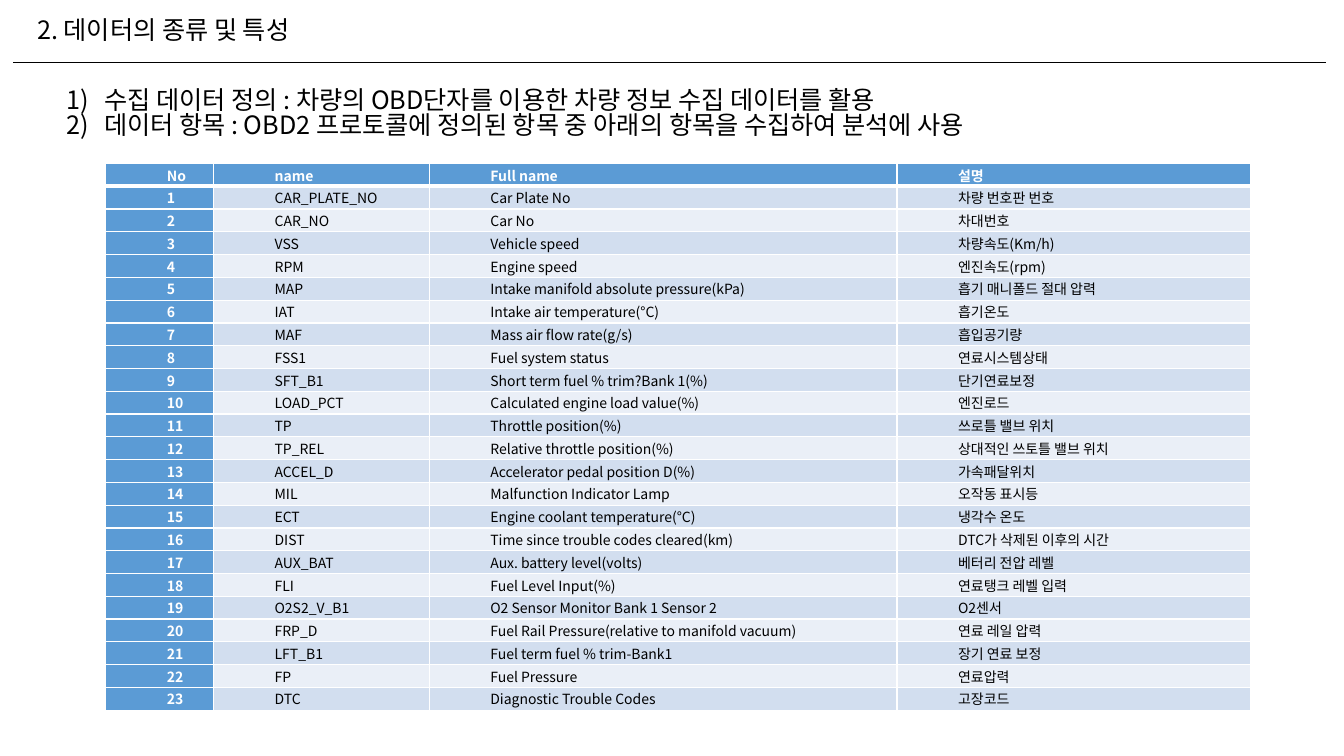
from dataclasses import dataclass
from pptx import Presentation
from pptx.dml.color import RGBColor as Rgb
from pptx.enum.shapes import MSO_CONNECTOR as Conn
from pptx.enum.text import MSO_AUTO_SIZE as Fit
from pptx.oxml.ns import qn
from pptx.util import Pt
from lxml.etree import SubElement as Sub

FACE = "Noto Sans CJK KR"
BLACK, WHITE, BLUE = "000000", "FFFFFF", "5B9BD5"
BANDS = ("EAEFF7", "D2DEEF")


@dataclass
class Note:
    left: float
    top: float
    width: float
    height: float
    lines: tuple[str, ...]
    listed: bool = False


NOTES = [
    Note(19.4, 10, 218, 29, ("2. 데이터의 종류 및 특성",)),
    Note(40.3, 60.5, 734, 51, (
        "수집 데이터 정의 : 차량의 OBD단자를 이용한 차량 정보 수집 데이터를 활용",
        "데이터 항목 : OBD2 프로토콜에 정의된 항목 중 아래의 항목을 수집하여 분석에 사용",
    ), True),
]
HEAD = ("No", "name", "Full name", "설명")
ITEMS = [
    ("CAR_PLATE_NO", "Car Plate No", "차량 번호판 번호"),
    ("CAR_NO", "Car No", "차대번호"),
    ("VSS", "Vehicle speed", "차량속도(Km/h)"),
    ("RPM", "Engine speed", "엔진속도(rpm)"),
    ("MAP", "Intake manifold absolute pressure(kPa)", "흡기 매니폴드 절대 압력"),
    ("IAT", "Intake air temperature(°C)", "흡기온도"),
    ("MAF", "Mass air flow rate(g/s)", "흡입공기량"),
    ("FSS1", "Fuel system status", "연료시스템상태"),
    ("SFT_B1", "Short term fuel % trim?Bank 1(%)", "단기연료보정"),
    ("LOAD_PCT", "Calculated engine load value(%)", "엔진로드"),
    ("TP", "Throttle position(%)", "쓰로틀 밸브 위치"),
    ("TP_REL", "Relative throttle position(%)", "상대적인 쓰토틀 밸브 위치"),
    ("ACCEL_D", "Accelerator pedal position D(%)", "가속패달위치"),
    ("MIL", "Malfunction Indicator Lamp", "오작동 표시등"),
    ("ECT", "Engine coolant temperature(°C)", "냉각수 온도"),
    ("DIST", "Time since trouble codes cleared(km)", "DTC가 삭제된 이후의 시간"),
    ("AUX_BAT", "Aux. battery level(volts)", "베터리 전압 레벨"),
    ("FLI", "Fuel Level Input(%)", "연료탱크 레벨 입력"),
    ("O2S2_V_B1", "O2 Sensor Monitor Bank 1 Sensor 2", "O2센서"),
    ("FRP_D", "Fuel Rail Pressure(relative to manifold vacuum)", "연료 레일 압력"),
    ("LFT_B1", "Fuel term fuel % trim-Bank1", "장기 연료 보정"),
    ("FP", "Fuel Pressure", "연료압력"),
    ("DTC", "Diagnostic Trouble Codes", "고장코드"),
]
WIDTHS = (77, 154.1, 334.1, 252.7)
ROW = 16.29


def paint(fmt, tone: str) -> None:
    """Give a fill or a font one solid colour."""
    if hasattr(fmt, "solid"):
        fmt.solid()
        fmt.fore_color.rgb = Rgb.from_string(tone)
    else:
        fmt.color.rgb = Rgb.from_string(tone)


def put(obj, **vals) -> None:
    for key, val in vals.items():
        setattr(obj, key, val)


def write(para, text: str, size: float, tone: str, bold: bool = False) -> None:
    run = para.add_run()
    run.text = text
    put(run.font, name=FACE, size=Pt(size), bold=bold)
    paint(run.font, tone)
    Sub(run.font._element, qn("a:ea")).set("typeface", FACE)


def indent(para, left: float, first: float = 0) -> None:
    props = para._p.get_or_add_pPr()
    props.set("marL", str(Pt(left)))
    props.set("indent", str(Pt(first)))


def draw_note(slide, note: Note) -> None:
    box = slide.shapes.add_textbox(
        Pt(note.left), Pt(note.top), Pt(note.width), Pt(note.height))
    frame = box.text_frame
    put(frame, word_wrap=False, auto_size=Fit.SHAPE_TO_FIT_TEXT)
    for num, line in enumerate(note.lines):
        para = frame.add_paragraph() if num else frame.paragraphs[0]
        para.line_spacing = 0.83
        write(para, line, 18, BLACK)
        if note.listed:
            indent(para, 27, -27)
            props = para._p.get_or_add_pPr()
            Sub(props, qn("a:buFont")).set("typeface", FACE)
            Sub(props, qn("a:buAutoNum")).set("type", "arabicParenR")


def edge(cell, side: str, width: float) -> None:
    line = Sub(cell._tc.get_or_add_tcPr(), qn(f"a:ln{side}"), w=str(Pt(width)))
    fill = Sub(line, qn("a:solidFill"))
    Sub(fill, qn("a:srgbClr")).set("val", WHITE)


def draw_cell(cell, text: str, row: int, col: int) -> None:
    key = row == 0 or col == 0
    put(cell, margin_left=Pt(3.6), margin_right=Pt(3.6),
        margin_top=0, margin_bottom=0)
    # Borders come before the fill in the cell properties
    for side in "LRTB":
        thick = (row, side) in ((0, "B"), (1, "T"))
        edge(cell, side, 3 if thick else 1)
    paint(cell.fill, BLUE if key else BANDS[row % 2])
    para = cell.text_frame.paragraphs[0]
    para.line_spacing = 1.07
    indent(para, 40)
    write(para, text, 10, WHITE if key else BLACK, key)


def draw_table(slide) -> None:
    rows = [HEAD] + [(str(num), *item) for num, item in enumerate(ITEMS, 1)]
    table = slide.shapes.add_table(
        len(rows), len(HEAD), Pt(75.6), Pt(116.8),
        Pt(sum(WIDTHS)), Pt(ROW * len(rows))).table
    for col, width in zip(table.columns, WIDTHS):
        col.width = Pt(width)
    for row, texts in enumerate(rows):
        table.rows[row].height = Pt(ROW)
        for col, text in enumerate(texts):
            draw_cell(table.cell(row, col), text, row, col)


deck = Presentation()
put(deck, slide_width=Pt(960), slide_height=Pt(540))
slide = deck.slides.add_slide(deck.slide_layouts[6])

# Rule under the title
rule = slide.shapes.add_connector(
    Conn.STRAIGHT, Pt(9.4), Pt(44.6), Pt(947.5), Pt(44.6))
rule.line.width = Pt(0.5)
paint(rule.line.fill, BLACK)
Sub(rule._element.spPr, qn("a:effectLst"))

# Title and numbered points
for note in NOTES:
    draw_note(slide, note)

# Data items
draw_table(slide)

deck.save("out.pptx")
